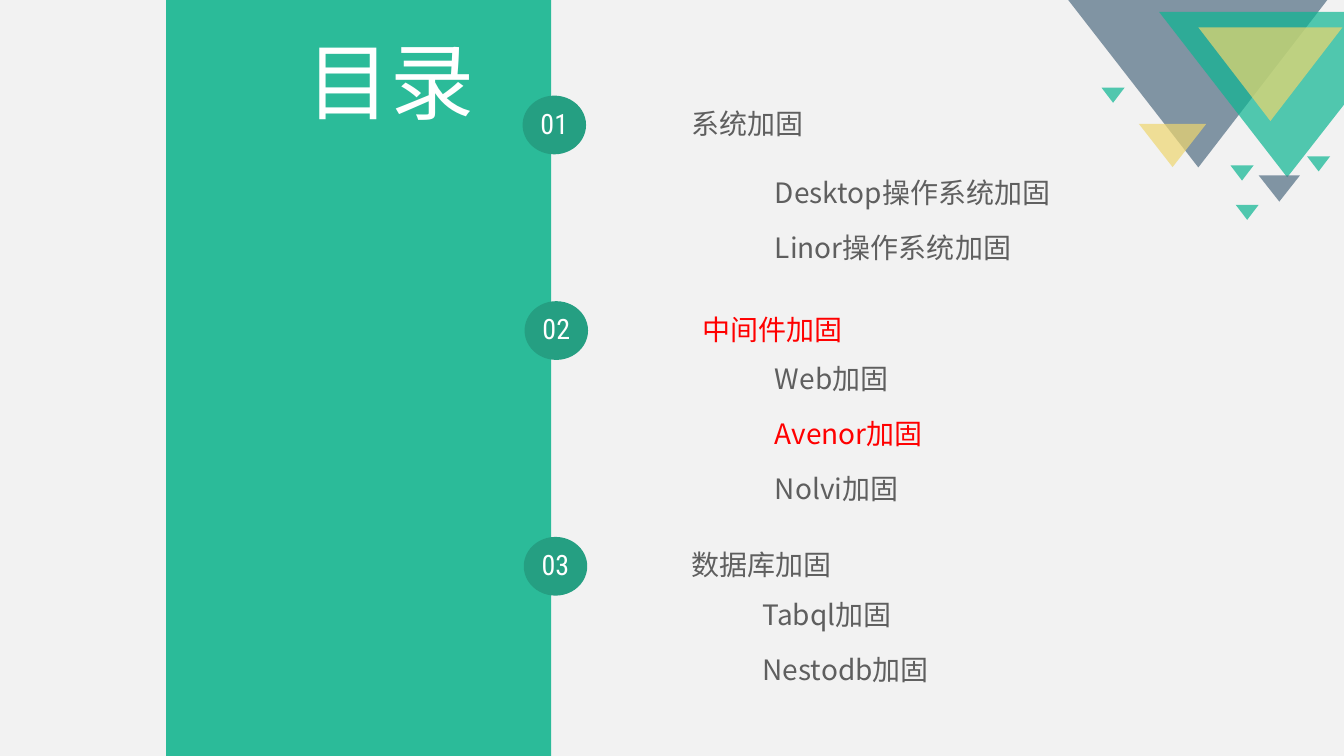
import pptx
import pptx.dml.color
import pptx.enum.shapes
import pptx.enum.text
import pptx.oxml
import pptx.oxml.ns
import pptx.util

Cm = pptx.util.Cm
Pt = pptx.util.Pt
RGBColor = pptx.dml.color.RGBColor
SHAPE = pptx.enum.shapes.MSO_SHAPE
MIDDLE = pptx.enum.text.MSO_ANCHOR.MIDDLE
TOP = pptx.enum.text.MSO_ANCHOR.TOP

LIGHT = RGBColor(0xF2, 0xF2, 0xF2)
WHITE = RGBColor(0xFF, 0xFF, 0xFF)
PANEL = RGBColor(0x2B, 0xBB, 0x99)
BADGE = RGBColor(0x25, 0x9F, 0x82)
GRAY = RGBColor(0x5F, 0x5F, 0x5F)
RED = RGBColor(0xFF, 0x00, 0x00)
SLATE = RGBColor(0x51, 0x6D, 0x82)
TEAL = RGBColor(0x0C, 0xB6, 0x92)
YELLOW = RGBColor(0xEE, 0xD6, 0x6F)
HAN_FONT = "Noto Sans CJK SC"
LATIN_FONT = "Roboto Condensed"


def paint(shape, color, alpha=100):
    """Give a shape a plain fill of alpha percent, with no line or shadow."""
    shape.shadow.inherit = False
    shape.line.fill.background()
    shape.fill.solid()
    shape.fill.fore_color.rgb = color
    if alpha < 100:
        tint = shape.fill._xPr.find(".//" + pptx.oxml.ns.qn("a:srgbClr"))
        tint.append(pptx.oxml.parse_xml(
            f'<a:alpha {pptx.oxml.ns.nsdecls("a")} val="{alpha * 1000}"/>'))


def write(box, lines, size=20, font=HAN_FONT, anchor=MIDDLE, align=None):
    """Fill a box with (text, color) lines, one paragraph each."""
    frame = box.text_frame
    frame.word_wrap = True
    frame.vertical_anchor = anchor
    for index, (text, color) in enumerate(lines):
        para = frame.add_paragraph() if index else frame.paragraphs[0]
        para.line_spacing = 0.9
        para.alignment = align
        if index:
            para.space_before = Pt(17.5)
        span = para.add_run()
        span.text = text
        span.font.size = Pt(size)
        span.font.name = font
        span.font.color.rgb = color
        span.font._rPr.append(pptx.oxml.parse_xml(
            f'<a:ea {pptx.oxml.ns.nsdecls("a")} typeface="{HAN_FONT}"/>'))


deck = pptx.Presentation()
deck.slide_width = Cm(33.87)
deck.slide_height = Cm(19.05)
page = deck.slides.add_slide(deck.slide_layouts[6])
page.background.fill.solid()
page.background.fill.fore_color.rgb = LIGHT

# Corner ornament: two large outlines, then small triangles pointing down
outlines = [
    (SLATE, [(26.92, 0), (33.45, 0), (30.2, 4.22)]),
    (TEAL, [(29.21, 0.3), (33.87, 0.3), (33.87, 2.64), (32.44, 4.47)]),
]
for color, points in outlines:
    corners = [(Cm(x), Cm(y)) for x, y in points]
    builder = page.shapes.build_freeform(*corners[0])
    builder.add_line_segments(corners[1:], close=True)
    paint(builder.convert_to_shape(), color, 70)

triangles = [
    (30.2, 0.69, 3.63, 2.36, YELLOW),
    (28.7, 3.12, 1.7, 1.09, YELLOW),
    (32.94, 3.94, 0.58, 0.38, TEAL),
    (31.14, 5.16, 0.58, 0.38, TEAL),
    (31.01, 4.17, 0.58, 0.38, TEAL),
    (31.72, 4.42, 1.04, 0.66, SLATE),
    (27.76, 2.21, 0.58, 0.38, TEAL),
]
for left, top, width, height, color in triangles:
    triangle = page.shapes.add_shape(
        SHAPE.ISOSCELES_TRIANGLE, Cm(left), Cm(top), Cm(width), Cm(height))
    triangle.rotation = 180
    paint(triangle, color, 70)

# Side panel with the title
panel = page.shapes.add_shape(SHAPE.RECTANGLE, Cm(4.19), 0, Cm(9.7), deck.slide_height)
paint(panel, PANEL)
title = page.shapes.add_textbox(Cm(7.47), Cm(0.69), Cm(4.83), Cm(2.95))
write(title, [("目录", WHITE)], size=60, font=LATIN_FONT)

# Sections: number, badge left, heading left, top, heading, color
sections = [
    ("01", 13.17, 17.17, 2.41, "系统加固", GRAY),
    ("02", 13.22, 17.45, 7.59, "中间件加固", RED),
    ("03", 13.2, 17.17, 13.53, "数据库加固", GRAY),
]
for number, badge_left, heading_left, top, heading, color in sections:
    badge = page.shapes.add_shape(
        SHAPE.OVAL, Cm(badge_left), Cm(top), Cm(1.6), Cm(1.48))
    paint(badge, BADGE)
    frame = badge.text_frame
    frame.margin_left = frame.margin_right = frame.margin_top = frame.margin_bottom = 0
    write(badge, [(number, WHITE)], font=LATIN_FONT,
          align=pptx.enum.text.PP_ALIGN.CENTER)
    box = page.shapes.add_textbox(Cm(heading_left), Cm(top), Cm(10.95), Cm(1.5))
    write(box, [(heading, color)])

# Topics under each section: left, top, width, height, lines
topics = [
    (19.28, 4.39, 11.18, 2.57,
     [("Desktop操作系统加固", GRAY), ("Linor操作系统加固", GRAY)]),
    (19.28, 9.09, 11.76, 4.29,
     [("Web加固", GRAY), ("Avenor加固", RED), ("Nolvi加固", GRAY)]),
    (18.97, 15.04, 11.76, 3.9,
     [("Tabql加固", GRAY), ("Nestodb加固", GRAY)]),
]
for left, top, width, height, lines in topics:
    box = page.shapes.add_textbox(Cm(left), Cm(top), Cm(width), Cm(height))
    write(box, lines, anchor=TOP)

deck.save("out.pptx")
